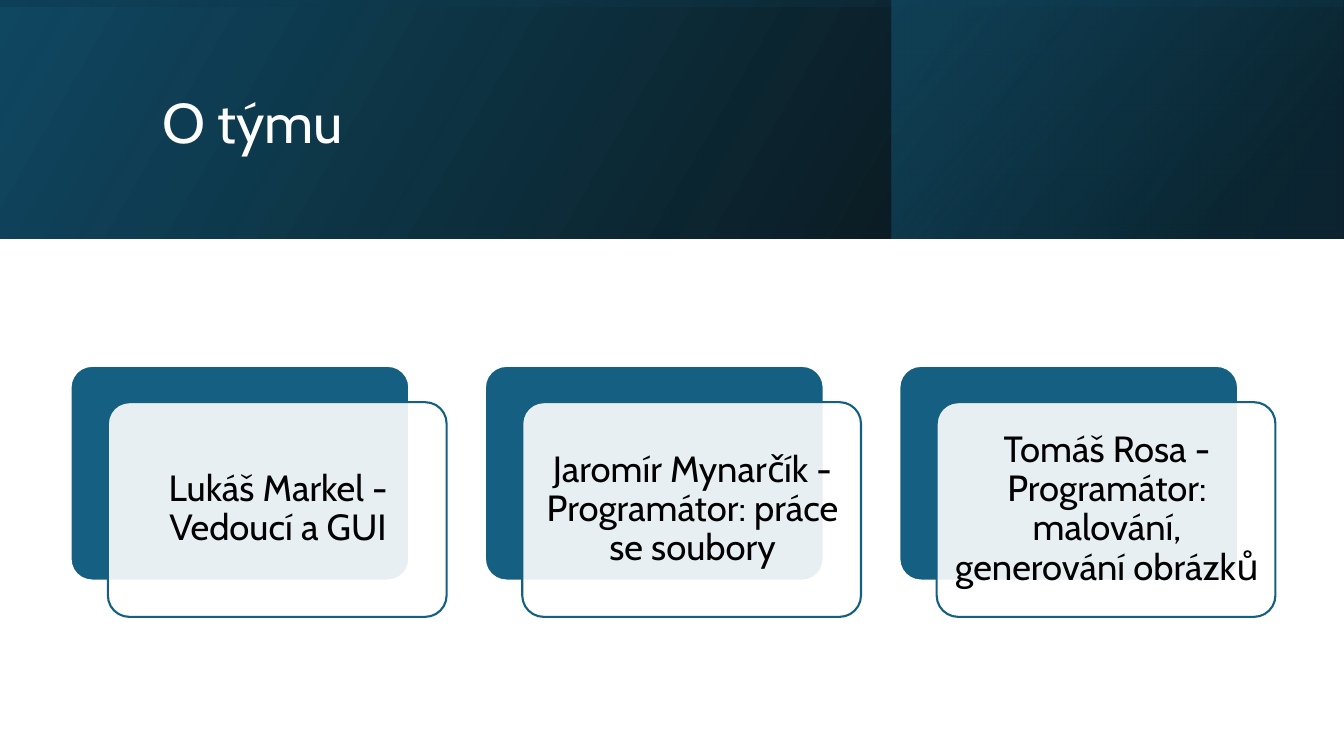
from lxml.etree import SubElement
from pptx import Presentation
from pptx.dml.color import RGBColor
from pptx.enum.shapes import MSO_SHAPE
from pptx.enum.text import MSO_ANCHOR, PP_ALIGN
from pptx.oxml.ns import qn
from pptx.util import Inches, Pt

COLORS = {
    "black": "000000",
    "white": "FFFFFF",
    "teal": "156082",
    "deep_teal": "104862",
    "night": "0B3041",
}

presentation = Presentation()
presentation.slide_width = Inches(13.33)
presentation.slide_height = Inches(7.5)
slide = presentation.slides.add_slide(presentation.slide_layouts[6])


def add_text(text, left, top, width, height, size, color, align=PP_ALIGN.LEFT, inset=(0.1, 0.05)):
    box = slide.shapes.add_textbox(Inches(left), Inches(top), Inches(width), Inches(height))
    frame = box.text_frame
    frame.word_wrap = True
    frame.vertical_anchor = MSO_ANCHOR.MIDDLE
    frame.margin_left = frame.margin_right = Inches(inset[0])
    frame.margin_top = frame.margin_bottom = Inches(inset[1])
    paragraph = frame.paragraphs[0]
    paragraph.alignment = align
    paragraph.line_spacing = 0.9
    run = paragraph.add_run()
    run.text = text
    run.font.name = "Cabin"
    run.font.size = Pt(size)
    run.font.color.rgb = RGBColor.from_string(COLORS[color])


def add_box(kind, left, top, width, height):
    shape = slide.shapes.add_shape(kind, Inches(left), Inches(top), Inches(width), Inches(height))
    shape.shadow.inherit = False
    return shape


header_bands = [
    ((0, 0, 13.33, 2.37), 0, 330, [(0, "black", 96), (100, "deep_teal", 100)]),
    ((8.84, 0, 4.48, 2.37), 0, 320, [(19, "night", 68), (100, "teal", 48)]),
    ((5.48, -5.48, 2.37, 13.33), 270, 350, [(23, "deep_teal", 16), (99, "black", 45)]),
]
for place, rotation, angle, stops in header_bands:
    band = add_box(MSO_SHAPE.RECTANGLE, *place)
    band.rotation = rotation
    band.line.fill.background()
    band.fill.gradient()
    properties = band.element.spPr
    properties.find(qn("a:xfrm")).set("flipH", "1")
    gradient = properties.find(qn("a:gradFill"))
    gradient.find(qn("a:lin")).set("ang", str(angle * 60000))
    stop_list = gradient.find(qn("a:gsLst"))
    for stop in list(stop_list):
        stop_list.remove(stop)
    for position, color, opacity in stops:
        stop = SubElement(stop_list, qn("a:gs"), pos=str(position * 1000))
        stop_color = SubElement(stop, qn("a:srgbClr"), val=COLORS[color])
        SubElement(stop_color, qn("a:alpha"), val=str(opacity * 1000))

add_text("O týmu", 1.51, 0.38, 10.63, 1.72, size=40, color="white")

members = [
    "Lukáš Markel - Vedoucí a GUI",
    "Jaromír Mynarčík - Programátor: práce se soubory",
    "Tomáš Rosa - Programátor: malování, generování obrázků",
]
card_left, card_top, card_width, card_height = 0.7, 3.63, 3.36, 2.13
card_step = 4.11
for index, member in enumerate(members):
    left = card_left + index * card_step
    layers = [(0, 0, "teal", "white", 100), (0.37, 0.36, "white", "teal", 90)]
    for shift_x, shift_y, fill, line, opacity in layers:
        card = add_box(MSO_SHAPE.ROUNDED_RECTANGLE, left + shift_x, card_top + shift_y, card_width, card_height)
        card.adjustments[0] = 0.1
        card.fill.solid()
        card.fill.fore_color.rgb = RGBColor.from_string(COLORS[fill])
        card.line.color.rgb = RGBColor.from_string(COLORS[line])
        card.line.width = Pt(1.5)
        if opacity < 100:
            fill_color = card.element.spPr.find(qn("a:solidFill"))[0]
            SubElement(fill_color, qn("a:alpha"), val=str(opacity * 1000))
    add_text(member, left + 0.44, card_top + 0.42, 3.24, 2.01, size=26, color="black",
             align=PP_ALIGN.CENTER, inset=(0.11, 0.11))

presentation.save("out.pptx")
